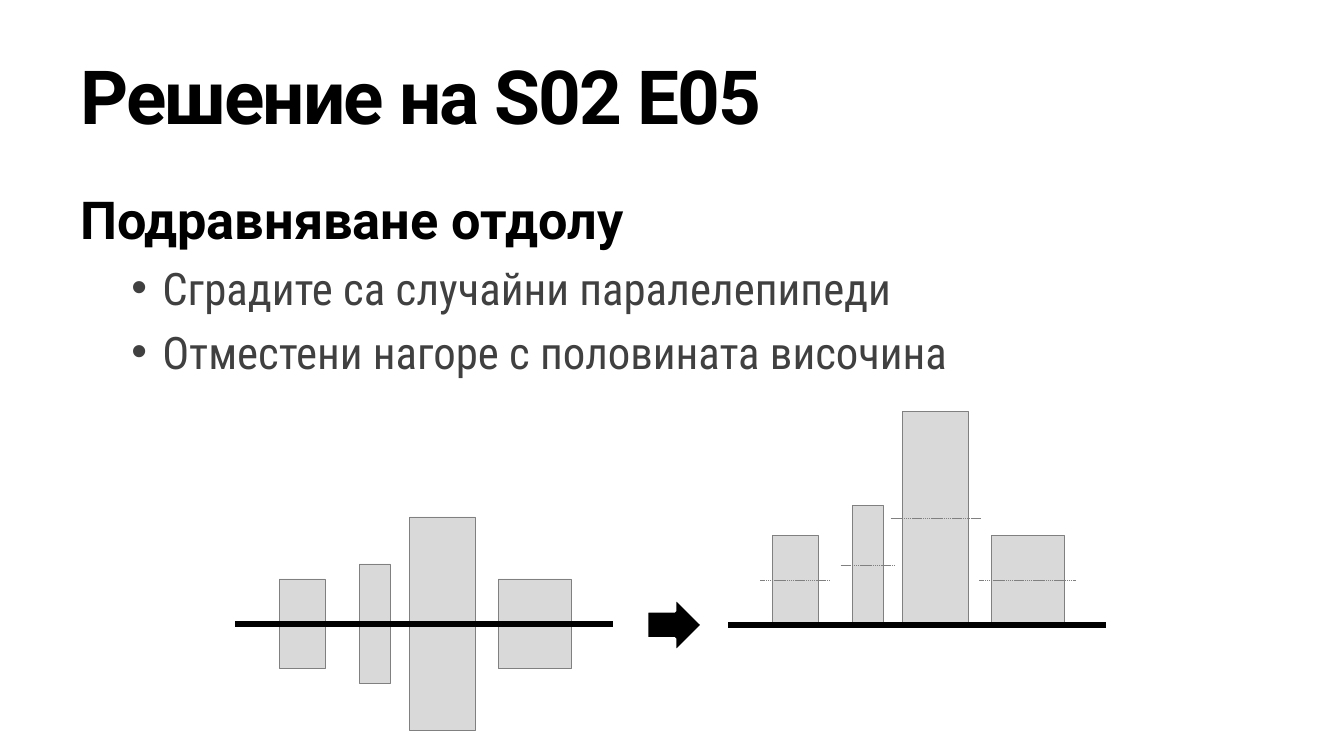
"""Build the slide on aligning random buildings to the ground."""
from lxml.etree import SubElement
from pptx import Presentation
from pptx.dml.color import RGBColor
from pptx.enum.dml import MSO_LINE
from pptx.enum.shapes import MSO_CONNECTOR, MSO_SHAPE
from pptx.enum.text import MSO_ANCHOR
from pptx.oxml.ns import qn
from pptx.util import Pt

BLACK = RGBColor(0x00, 0x00, 0x00)
WHITE = RGBColor(0xFF, 0xFF, 0xFF)
DARK = RGBColor(0x40, 0x40, 0x40)
GRAY = RGBColor(0x80, 0x80, 0x80)
LIGHT = RGBColor(0xD9, 0xD9, 0xD9)

TITLE = "Решение на S02 E05"
HEADING = "Подравняване отдолу"
BULLETS = [
    "Сградите са случайни паралелепипеди",
    "Отместени нагоре с половината височина",
]
BUILDINGS = [(23.6, 24.5, 48.2), (66.6, 16.5, 64.2), (93.4, 35.3, 114.4), (140.9, 39, 48.2)]
GROUND_WIDTH = 202.4
BEFORE = (126, 334.2)
AFTER = (390.2, 334.9)
AXIS_OVERHANG = 6.5


def add_text_box(left, top, width, height):
    frame = slide.shapes.add_textbox(Pt(left), Pt(top), Pt(width), Pt(height)).text_frame
    frame.word_wrap = True
    return frame


def add_span(para, text, size, font, color, bold):
    span = para.add_run()
    span.text = text
    span.font.size = Pt(size)
    span.font.name = font
    span.font.color.rgb = color
    span.font.bold = bold
    return span


def add_bullet(para, margin, indent):
    properties = para._p.get_or_add_pPr()
    properties.set("marL", str(Pt(margin)))
    properties.set("indent", str(Pt(indent)))
    SubElement(properties, qn("a:buFont")).set("typeface", "Arial")
    SubElement(properties, qn("a:buChar")).set("char", "•")


def add_block(preset, left, top, width, height, fill, line, weight):
    block = slide.shapes.add_shape(preset, Pt(left), Pt(top), Pt(width), Pt(height))
    block.shadow.inherit = False
    block.fill.solid()
    block.fill.fore_color.rgb = fill
    block.line.color.rgb = line
    block.line.width = Pt(weight)


def add_line(left, right, y, color, weight, dash=None):
    line = slide.shapes.add_connector(MSO_CONNECTOR.STRAIGHT, Pt(left), Pt(y), Pt(right), Pt(y))
    SubElement(line._element.spPr, qn("a:effectLst"))
    line.line.color.rgb = color
    line.line.width = Pt(weight)
    if dash:
        line.line.dash_style = dash


def add_skyline(ground, raised):
    ground_left, ground_y = ground
    for offset, width, height in BUILDINGS:
        left = ground_left + offset
        middle = ground_y - height / 2 if raised else ground_y
        add_block(MSO_SHAPE.RECTANGLE, left, middle - height / 2, width, height, LIGHT, GRAY, 0.25)
        if raised:
            add_line(left - AXIS_OVERHANG, left + width + AXIS_OVERHANG, middle,
                     GRAY, 0.25, MSO_LINE.SQUARE_DOT)
    add_line(ground_left, ground_left + GROUND_WIDTH, ground_y, BLACK, 3)


deck = Presentation()
deck.slide_width, deck.slide_height = Pt(720), Pt(405)
slide = deck.slides.add_slide(deck.slide_layouts[6])

title = add_text_box(36, 16.6, 684, 67.7)
title.vertical_anchor = MSO_ANCHOR.MIDDLE
title_span = add_span(title.paragraphs[0], TITLE, 40, "Roboto", BLACK, True)
title_span.font._element.set("spc", "-100")

body = add_text_box(36, 94.3, 684, 301.7)
body.margin_top = Pt(6)
add_span(body.paragraphs[0], HEADING, 28, "Roboto", BLACK, True)
for text in BULLETS:
    para = body.add_paragraph()
    add_bullet(para, 43.9, -16.6)
    para.space_before = Pt(5.5)
    add_span(para, text, 24, "Roboto Condensed", DARK, False)

add_skyline(BEFORE, raised=False)
add_block(MSO_SHAPE.RIGHT_ARROW, 346.3, 319.7, 30.2, 30.2, BLACK, WHITE, 2)
add_skyline(AFTER, raised=True)

deck.save("out.pptx")
